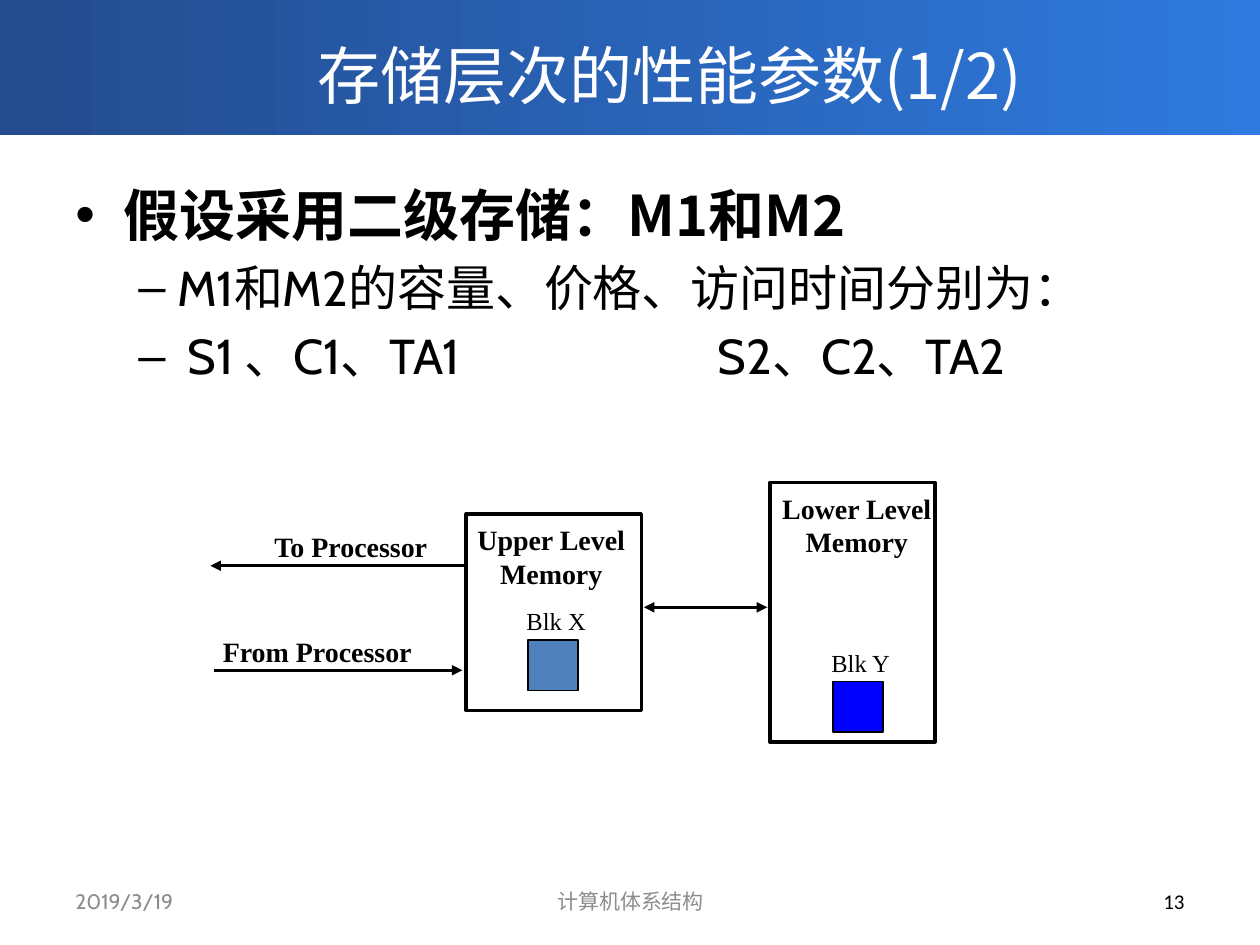
"""Build the slide on performance parameters of a two-level memory hierarchy."""
from dataclasses import dataclass

from lxml import etree
from pptx import Presentation
from pptx import util as u
from pptx.dml.color import RGBColor
from pptx.enum import shapes, text
from pptx.oxml import ns


@dataclass(frozen=True)
class Theme:
    """Colours, fonts and type sizes of the slide."""
    banner: tuple = ("234B8D", "2F7ADF")
    white: str = "FFFFFF"
    ink: str = "000000"
    muted: str = "8C8C8C"
    upper_block: str = "4F81BD"
    lower_block: str = "0000FF"
    cjk: str = "Noto Sans CJK SC"
    body: str = "Cabin"
    number: str = "Calibri"
    diagram: str = "Times New Roman"
    title_size: int = 36
    point_size: int = 32
    subpoint_size: int = 28
    label_size: int = 16
    block_size: int = 14
    footer_size: int = 12


THEME = Theme()
LEFT, CENTER, RIGHT = (text.PP_ALIGN.LEFT, text.PP_ALIGN.CENTER, text.PP_ALIGN.RIGHT)
MIDDLE = text.MSO_ANCHOR.MIDDLE


def inches(*values):
    """Convert numbers to lengths."""
    return [u.Inches(value) for value in values]


def child(parent, tag, **attributes):
    """Append a drawing element with the given attributes."""
    return etree.SubElement(parent, ns.qn(tag), attributes)


def apply(target, values):
    """Set attributes from a dict of format values."""
    for name, value in values.items():
        setattr(target, name, value)


def write(para, words, size, font, color=THEME.ink, bold=False):
    """Add one formatted span to a paragraph."""
    span = para.add_run()
    span.text = words
    apply(span.font, {"size": u.Pt(size), "bold": bold, "name": font})
    span.font.color.rgb = RGBColor.from_string(color)
    child(span.font._element, "a:ea", typeface=THEME.cjk)


def add_text(page, place, lines, size, font, color=THEME.ink, bold=False,
             align=LEFT, anchor=text.MSO_ANCHOR.TOP, wrap=False):
    """Add a text box with one paragraph per line."""
    frame = page.shapes.add_textbox(*inches(*place)).text_frame
    apply(frame, {"word_wrap": wrap, "vertical_anchor": anchor})
    for index, words in enumerate(lines):
        para = frame.add_paragraph() if index else frame.paragraphs[0]
        para.alignment = align
        write(para, words, size, font, color, bold)


def add_box(page, place, weight, fill=None):
    """Add an outlined rectangle, filled if a colour is given."""
    box = page.shapes.add_shape(shapes.MSO_SHAPE.RECTANGLE, *inches(*place))
    box.shadow.inherit = False
    if fill:
        box.fill.solid()
        box.fill.fore_color.rgb = RGBColor.from_string(fill)
    else:
        box.fill.background()
    box.line.color.rgb = RGBColor.from_string(THEME.ink)
    box.line.width = u.Pt(weight)


def add_arrow(page, start, end, heads=("tailEnd",)):
    """Add a straight arrow with triangle heads."""
    arrow = page.shapes.add_connector(shapes.MSO_CONNECTOR.STRAIGHT, *inches(*start, *end))
    arrow.line.color.rgb = RGBColor.from_string(THEME.ink)
    arrow.line.width = u.Pt(2)
    for head in heads:
        child(arrow.line._get_or_add_ln(), f"a:{head}", type="triangle")
    child(arrow._element.spPr, "a:effectLst")


def add_title(page, words):
    """Add the gradient banner behind the formatted title."""
    banner = page.shapes.add_shape(shapes.MSO_SHAPE.RECTANGLE, *inches(0, 0, 10, 1.07))
    banner.shadow.inherit = False
    banner.line.fill.background()
    banner.fill.gradient()
    banner.fill.gradient_angle = 0
    for stop, color in zip(banner.fill.gradient_stops, THEME.banner):
        stop.color.rgb = RGBColor.from_string(color)
    title = page.shapes.title
    title._element.addprevious(banner._element)
    apply(title, dict(zip(("left", "top", "width", "height"), inches(1.13, 0.16, 8.37, 0.86))))
    apply(title.text_frame, {"vertical_anchor": MIDDLE, "word_wrap": True,
                             "auto_size": text.MSO_AUTO_SIZE.NONE})
    para = title.text_frame.paragraphs[0]
    para.alignment = CENTER
    write(para, words, THEME.title_size, THEME.cjk, THEME.white)


def add_points(page):
    """Add the bulleted point and its two subpoints."""
    frame = page.shapes.add_textbox(*inches(0.5, 1.38, 9, 2)).text_frame
    frame.word_wrap = True
    points = (
        ("假设采用二级存储：M1和M2", "•", 0.38, 0.38, THEME.point_size, THEME.cjk, True),
        ("M1和M2的容量、价格、访问时间分别为：", "–", 0.81, 0.31,
         THEME.subpoint_size, THEME.body, False),
        ("S1 、C1、TA1\tS2、C2、TA2", "–", 0.89, 0.39,
         THEME.subpoint_size, THEME.body, False),
    )
    for index, (words, bullet, margin, hang, size, font, bold) in enumerate(points):
        para = frame.add_paragraph() if index else frame.paragraphs[0]
        if index:
            para.space_before = u.Pt(size * 0.2)
        props = para._p.get_or_add_pPr()
        props.set("marL", str(u.Inches(margin)))
        props.set("indent", str(-u.Inches(hang)))
        child(props, "a:buFont", typeface="Arial")
        child(props, "a:buChar", char=bullet)
        if "\t" in words:
            child(child(props, "a:tabLst"), "a:tab", pos=str(u.Inches(5.1)), algn="l")
        write(para, words, size, font, bold=bold)


def add_memory(page, place, label_place, name, block_at, block_name, block_fill):
    """Add one memory level with its heading and its block."""
    left, top = block_at
    add_box(page, place, 2)
    add_text(page, label_place, (name, "Memory"), THEME.label_size, THEME.diagram,
             bold=True, align=CENTER)
    add_box(page, (left, top, 0.4, 0.4), 1, block_fill)
    add_text(page, (left - 0.11, top - 0.32, 0.68, 0.33), (block_name,),
             THEME.block_size, THEME.diagram)


def add_diagram(page):
    """Add both memory levels and the transfers between them."""
    add_memory(page, (3.7, 4.08, 1.39, 1.56), (3.68, 4.1, 1.39, 0.64),
               "Upper Level", (4.19, 5.08), "Blk X", THEME.upper_block)
    add_memory(page, (6.11, 3.83, 1.31, 2.06), (6.1, 3.85, 1.4, 0.64),
               "Lower Level", (6.61, 5.41), "Blk Y", THEME.lower_block)
    add_arrow(page, (3.7, 4.49), (1.67, 4.49))
    add_arrow(page, (1.7, 5.32), (3.67, 5.32))
    add_arrow(page, (5.11, 4.82), (6.09, 4.82), ("headEnd", "tailEnd"))
    for place, words in (((2.08, 4.15, 1.43, 0.37), "To Processor"),
                         ((1.67, 4.99, 1.72, 0.37), "From Processor")):
        add_text(page, place, (words,), THEME.label_size, THEME.diagram, bold=True)


def add_footer(page):
    """Add the date, course name and page number."""
    for left, width, words, font, color, align in (
            (0.5, 2.33, "2019/3/19", THEME.body, THEME.muted, LEFT),
            (3.42, 3.17, "计算机体系结构", THEME.body, THEME.muted, CENTER),
            (7.17, 2.33, "13", THEME.number, THEME.ink, RIGHT)):
        add_text(page, (left, 6.95, width, 0.4), (words,), THEME.footer_size, font,
                 color, align=align, anchor=MIDDLE, wrap=True)


def main():
    """Build and save the deck."""
    deck = Presentation()
    deck.slide_width, deck.slide_height = inches(10, 7.5)
    page = deck.slides.add_slide(deck.slide_layouts[5])
    add_title(page, "存储层次的性能参数(1/2)")
    add_points(page)
    add_diagram(page)
    add_footer(page)
    deck.save("out.pptx")


if __name__ == "__main__":
    main()
